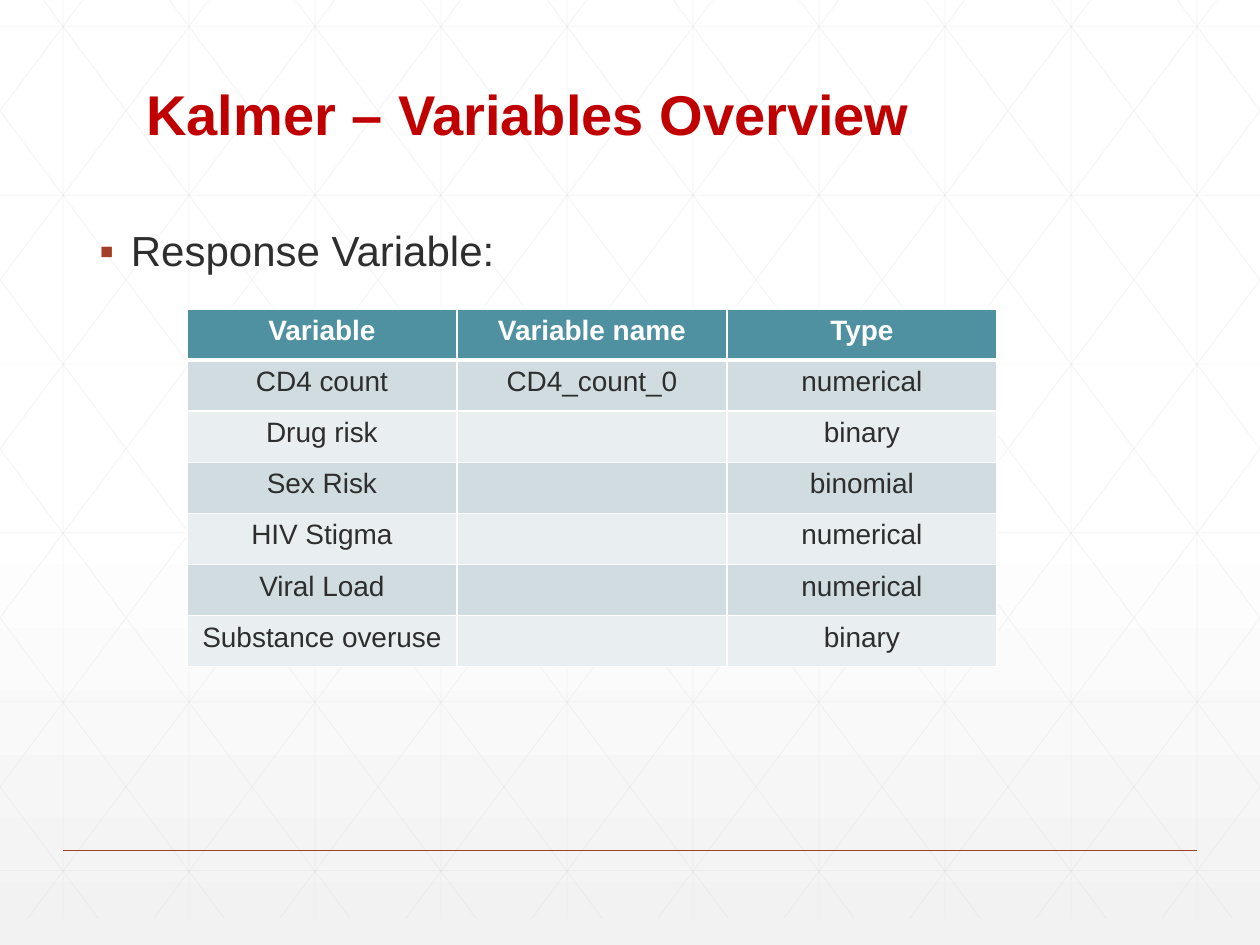
from lxml.etree import SubElement
from copy import deepcopy
from pptx import Presentation
from pptx.dml.color import RGBColor
from pptx.enum.shapes import MSO_CONNECTOR
from pptx.enum.text import MSO_ANCHOR, MSO_AUTO_SIZE, PP_ALIGN
from pptx.oxml.ns import qn
from pptx.util import Pt

FONT = "Arial"
RED, RUST, TEAL = "C00000", "A43F27", "4F91A1"
WHITE, INK, GRID = "FFFFFF", "2D2E2D", "D9D9D9"
BANDS = ("D0DCE0", "E9EEF0")
WIDTH, HEIGHT = 720, 540
GRID_TOP, GRID_BOTTOM, GRID_STEP = -15, 525, 72
DIAGONAL_RUN = 402.6
VARIABLES = [
    ("Variable", "Variable name", "Type"),
    ("CD4 count", "CD4_count_0", "numerical"),
    ("Drug risk", "", "binary"),
    ("Sex Risk", "", "binomial"),
    ("HIV Stigma", "", "numerical"),
    ("Viral Load", "", "numerical"),
    ("Substance overuse", "", "binary"),
]


def color(value):
    return RGBColor.from_string(value)


def add_run(paragraph, text, size, ink, bold=False):
    run = paragraph.add_run()
    run.text = text
    run.font.name = FONT
    run.font.size = Pt(size)
    run.font.bold = bold
    run.font.color.rgb = color(ink)


def place(shape, left, top, width, height):
    shape.left, shape.top = Pt(left), Pt(top)
    shape.width, shape.height = Pt(width), Pt(height)


def add_line(shapes, start, end, ink, weight, opacity=100):
    line = shapes.add_connector(
        MSO_CONNECTOR.STRAIGHT, *(Pt(value) for value in (*start, *end)))
    line.line.width = Pt(weight)
    line.line.color.rgb = color(ink)
    if opacity < 100:
        tint = line.element.find(".//" + qn("a:srgbClr"))
        SubElement(tint, qn("a:alpha"), val=str(opacity * 1000))
    SubElement(line.element.spPr, qn("a:effectLst"))


def paint_background(slide):
    fill = slide.background.fill
    fill.gradient()
    fill.gradient_angle = 270
    stop_list = slide.element.find(".//" + qn("a:gsLst"))
    stop_list.insert(1, deepcopy(stop_list[0]))
    for stop, (position, tint) in zip(
            fill.gradient_stops, ((0, WHITE), (0.53, WHITE), (1, "F2F2F2"))):
        stop.position = position
        stop.color.rgb = color(tint)


def add_lattice(slide):
    lattice = slide.shapes.add_group_shape().shapes
    segments = []
    for column in range(10):
        x = 36 + GRID_STEP * column
        segments.append(((x, GRID_TOP), (x, GRID_BOTTOM)))
    for row in range(6):
        y = 15 + 96.5 * row
        segments.append(((0, y), (WIDTH, y)))
    slope = (GRID_BOTTOM - GRID_TOP) / DIAGONAL_RUN
    for step in range(-5, 10):
        origin = 13.6 + GRID_STEP * step
        left, right = max(origin, 0), min(origin + DIAGONAL_RUN, WIDTH)
        upper = GRID_TOP + (left - origin) * slope
        lower = GRID_TOP + (right - origin) * slope
        segments.append(((left, upper), (right, lower)))
        segments.append(((WIDTH - left, upper), (WIDTH - right, lower)))
    for start, end in segments:
        add_line(lattice, start, end, GRID, 0.5, 25)


def add_title(slide, text):
    title = slide.shapes.title
    title.element.getparent().append(title.element)
    place(title, 76.3, 39.6, 567.4, 48.2)
    frame = title.text_frame
    frame.auto_size = MSO_AUTO_SIZE.NONE
    frame.vertical_anchor = MSO_ANCHOR.BOTTOM
    paragraph = frame.paragraphs[0]
    paragraph.alignment = PP_ALIGN.LEFT
    paragraph.line_spacing = 0.9
    add_run(paragraph, text, 32, RED, True)


def add_bullet(slide, text):
    body = slide.shapes.add_textbox(Pt(49.7), Pt(128.2), Pt(620.6), Pt(342.7))
    body.text_frame.word_wrap = True
    paragraph = body.text_frame.paragraphs[0]
    paragraph.line_spacing = 0.9
    paragraph.space_before = Pt(18)
    add_run(paragraph, text, 24, INK)
    properties = paragraph._p.get_or_add_pPr()
    properties.set("marL", str(Pt(18)))
    properties.set("indent", str(Pt(-18)))
    bullet_color = SubElement(properties, qn("a:buClr"))
    SubElement(bullet_color, qn("a:srgbClr"), val=RUST)
    SubElement(properties, qn("a:buFont"), typeface=FONT)
    SubElement(properties, qn("a:buChar"), char="▪")


def add_borders(cell, top, bottom):
    properties = cell._tc.get_or_add_tcPr()
    for side, weight in (("L", 1), ("R", 1), ("T", top), ("B", bottom)):
        border = SubElement(properties, qn("a:ln" + side), w=str(Pt(weight)))
        fill = SubElement(border, qn("a:solidFill"))
        SubElement(fill, qn("a:srgbClr"), val=WHITE)


def add_variable_table(slide):
    table = slide.shapes.add_table(
        len(VARIABLES), len(VARIABLES[0]),
        Pt(106.8), Pt(176.6), Pt(462.9), Pt(204.4)).table
    for row, entries in enumerate(VARIABLES):
        table.rows[row].height = Pt(29.2)
        header = row == 0
        for column, entry in enumerate(entries):
            cell = table.cell(row, column)
            add_borders(cell, 3 if row == 1 else 1, 3 if header else 1)
            cell.fill.solid()
            cell.fill.fore_color.rgb = color(
                TEAL if header else BANDS[(row - 1) % 2])
            paragraph = cell.text_frame.paragraphs[0]
            paragraph.alignment = PP_ALIGN.CENTER
            if entry:
                add_run(paragraph, entry, 16, WHITE if header else INK, header)


def main():
    deck = Presentation()
    deck.slide_width, deck.slide_height = Pt(WIDTH), Pt(HEIGHT)
    slide = deck.slides.add_slide(deck.slide_layouts[5])
    paint_background(slide)
    add_lattice(slide)
    add_line(slide.shapes, (36, 486), (684, 486), RUST, 1)
    add_title(slide, "Kalmer – Variables Overview")
    add_bullet(slide, "Response Variable:")
    add_variable_table(slide)
    deck.save("out.pptx")


if __name__ == "__main__":
    main()
